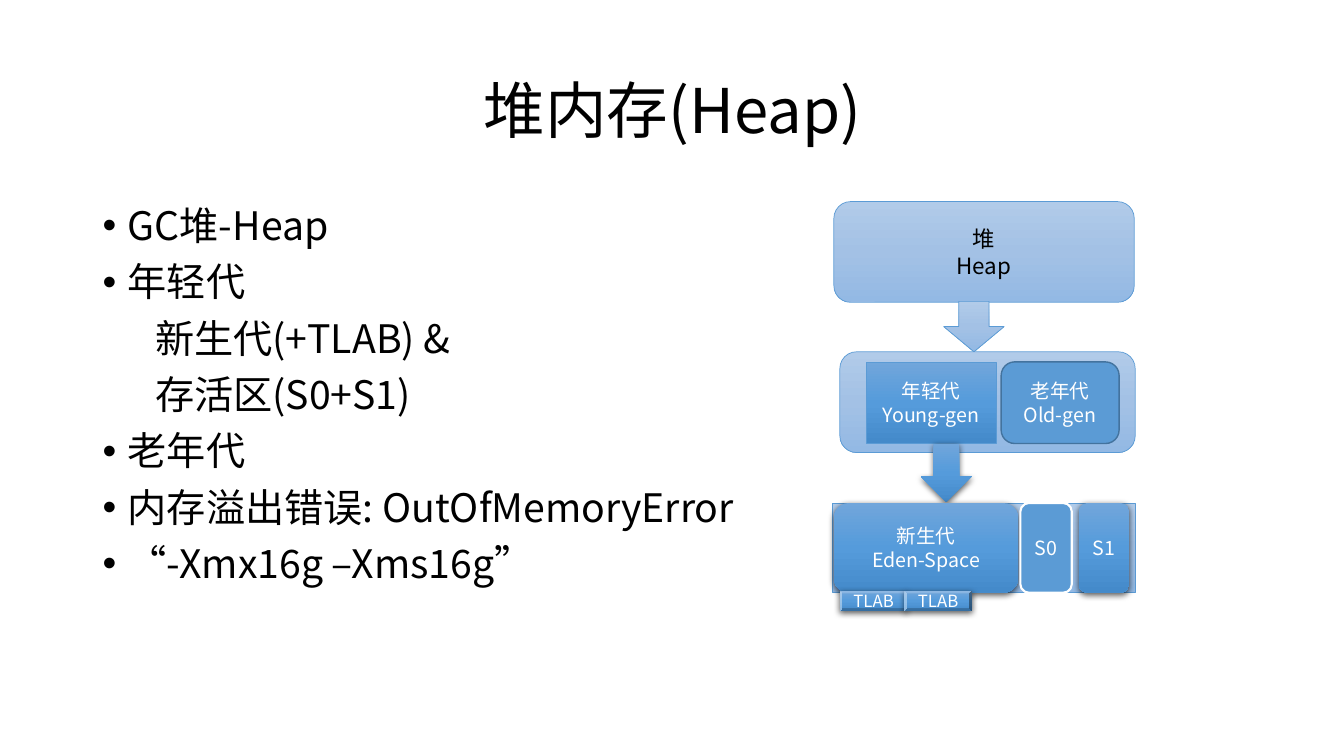
import copy

import lxml.etree
import pptx
import pptx.dml.color
import pptx.enum.lang
import pptx.enum.shapes
import pptx.enum.text
import pptx.oxml
import pptx.oxml.ns
import pptx.util

RGB = pptx.dml.color.RGBColor
KIND = pptx.enum.shapes.MSO_SHAPE
ALIGN = pptx.enum.text.PP_ALIGN
ANCHOR = pptx.enum.text.MSO_ANCHOR
Pt = pptx.util.Pt
qn = pptx.oxml.ns.qn

BLACK = RGB(0x00, 0x00, 0x00)
WHITE = RGB(0xFF, 0xFF, 0xFF)
BLUE = RGB(0x5B, 0x9B, 0xD5)
NAVY = RGB(0x43, 0x73, 0x9E)
PALE = (RGB(0xB1, 0xCB, 0xE9), RGB(0xA3, 0xC1, 0xE5), RGB(0x93, 0xB9, 0xE4))
DEEP = (RGB(0x71, 0xA6, 0xDB), RGB(0x55, 0x9B, 0xDB), RGB(0x44, 0x8A, 0xCA))

SHADE = (
    '<a:effectLst xmlns:a="http://schemas.openxmlformats.org/drawingml/2006/main">'
    '<a:outerShdw blurRad="57150" dist="19050" dir="5400000" algn="ctr" rotWithShape="0">'
    '<a:srgbClr val="000000"><a:alpha val="63000"/></a:srgbClr>'
    '</a:outerShdw></a:effectLst>')


class Deck:
    """Style and current slide; places are columns and rows of a 0.1 inch grid."""
    face = "Noto Sans CJK SC"
    cell = pptx.util.Inches(0.1)

    def __init__(self, show):
        self.slide = show.slides.add_slide(show.slide_layouts[6])

    def grid(self, *marks):
        return [round(mark * self.cell) for mark in marks]

    def label(self, para, text, size, color, **form):
        for name, value in form.items():
            setattr(para, name, value)
        run = para.add_run()
        run.text = text
        look = {"size": Pt(size), "name": self.face,
                "language_id": pptx.enum.lang.MSO_LANGUAGE_ID.SIMPLIFIED_CHINESE}
        for name, value in look.items():
            setattr(run.font, name, value)
        run.font.color.rgb = color
        east = lxml.etree.SubElement(run.font._element, qn("a:ea"))
        east.set("typeface", self.face)

    def area(self, place, anchor):
        frame = self.slide.shapes.add_textbox(*self.grid(*place)).text_frame
        frame.word_wrap = True
        frame.vertical_anchor = anchor
        return frame

    def title(self, place, text):
        frame = self.area(place, ANCHOR.MIDDLE)
        self.label(frame.paragraphs[0], text, 44, BLACK,
                   alignment=ALIGN.CENTER, line_spacing=0.9)

    def points(self, place, items):
        """Items are pairs of text and whether it has a bullet."""
        frame = self.area(place, ANCHOR.TOP)
        for i, (text, dot) in enumerate(items):
            para = frame.add_paragraph() if i else frame.paragraphs[0]
            props = para._p.get_or_add_pPr()
            left, hang = self.grid(2.5, -2.5) if dot else self.grid(5.2, 0)
            props.set("marL", str(left))
            props.set("indent", str(hang))
            if dot:
                font = lxml.etree.SubElement(props, qn("a:buFont"))
                font.set("typeface", "Arial")
                lxml.etree.SubElement(props, qn("a:buChar")).set("char", "•")
            self.label(para, text, 28, BLACK, line_spacing=0.9,
                       space_before=Pt(10 if i else 0))

    def blend(self, fill, tones):
        """Fill from top to bottom through three tones."""
        fill.gradient()
        fill.gradient_angle = 270
        first = fill.gradient_stops[0]._gs
        first.addnext(copy.deepcopy(first))
        for stop, spot, tone in zip(fill.gradient_stops, (0, 0.5, 1), tones):
            stop.position = spot
            stop.color.rgb = tone

    def block(self, kind, place, paint, lines=(), size=14, ink=WHITE,
              edge=None, width=0.5, shade=False):
        shape = self.slide.shapes.add_shape(kind, *self.grid(*place))
        shape.shadow.inherit = False
        if isinstance(paint, RGB):
            shape.fill.solid()
            shape.fill.fore_color.rgb = paint
        else:
            self.blend(shape.fill, paint)
        if edge is None:
            shape.line.fill.background()
        else:
            shape.line.color.rgb = edge
            shape.line.width = Pt(width)
        if shade:
            props = shape._element.spPr
            props.replace(props.find(qn("a:effectLst")), pptx.oxml.parse_xml(SHADE))
        frame = shape.text_frame
        form = {"word_wrap": True, "vertical_anchor": ANCHOR.MIDDLE, "margin_left": 0,
                "margin_right": 0, "margin_top": 0, "margin_bottom": 0}
        for name, value in form.items():
            setattr(frame, name, value)
        for i, text in enumerate(lines):
            para = frame.add_paragraph() if i else frame.paragraphs[0]
            self.label(para, text, size, ink, alignment=ALIGN.CENTER)


def main():
    show = pptx.Presentation()
    show.slide_width = pptx.util.Inches(13.33)
    show.slide_height = pptx.util.Inches(7.5)
    deck = Deck(show)
    box, pill, down = KIND.RECTANGLE, KIND.ROUNDED_RECTANGLE, KIND.DOWN_ARROW

    deck.title((9.2, 4, 115, 14.5), "堆内存(Heap)")
    deck.points((9.2, 20, 115, 47.6), [
        ("GC堆-Heap", True),
        ("年轻代", True),
        ("新生代(+TLAB) &", False),
        ("存活区(S0+S1)", False),
        ("老年代", True),
        ("内存溢出错误: OutOfMemoryError", True),
        ("“-Xmx16g –Xms16g”", True),
    ])

    pale = {"paint": PALE, "edge": BLUE}
    deep = {"paint": DEEP, "shade": True}

    # Heap
    deck.block(pill, (82.7, 20, 29.8, 10), lines=("堆", "Heap"), size=16, ink=BLACK, **pale)
    deck.block(down, (93.6, 29.9, 6, 5), **pale)

    # Generations
    deck.block(pill, (83.3, 34.9, 29.3, 10), **pale)
    deck.block(box, (85.9, 35.9, 12.9, 8.1), DEEP, ("年轻代", "Young-gen"), edge=BLUE)
    deck.block(down, (91.3, 44, 5.1, 5.8), **deep)
    deck.block(pill, (99.3, 35.9, 11.7, 8.1), BLUE, ("老年代", "Old-gen"), edge=NAVY, width=1)

    # Young generation spaces
    top, tall = 49.9, 8.9
    deck.block(box, (82.6, top, 30, tall), **pale)
    deck.block(pill, (82.7, top, 18.3, tall), lines=("新生代", "Eden-Space"), **deep)
    deck.block(pill, (101.2, top, 5.1, tall), BLUE, ("S0",), edge=WHITE, width=1.5)
    deck.block(pill, (107, top, 5, tall), lines=("S1",), **deep)
    for i in range(2):
        deck.block(KIND.BEVEL, (83.3 + 6.4 * i, 58.6, 6.7, 2), lines=("TLAB",), size=12, **deep)

    show.save("out.pptx")


if __name__ == "__main__":
    main()
